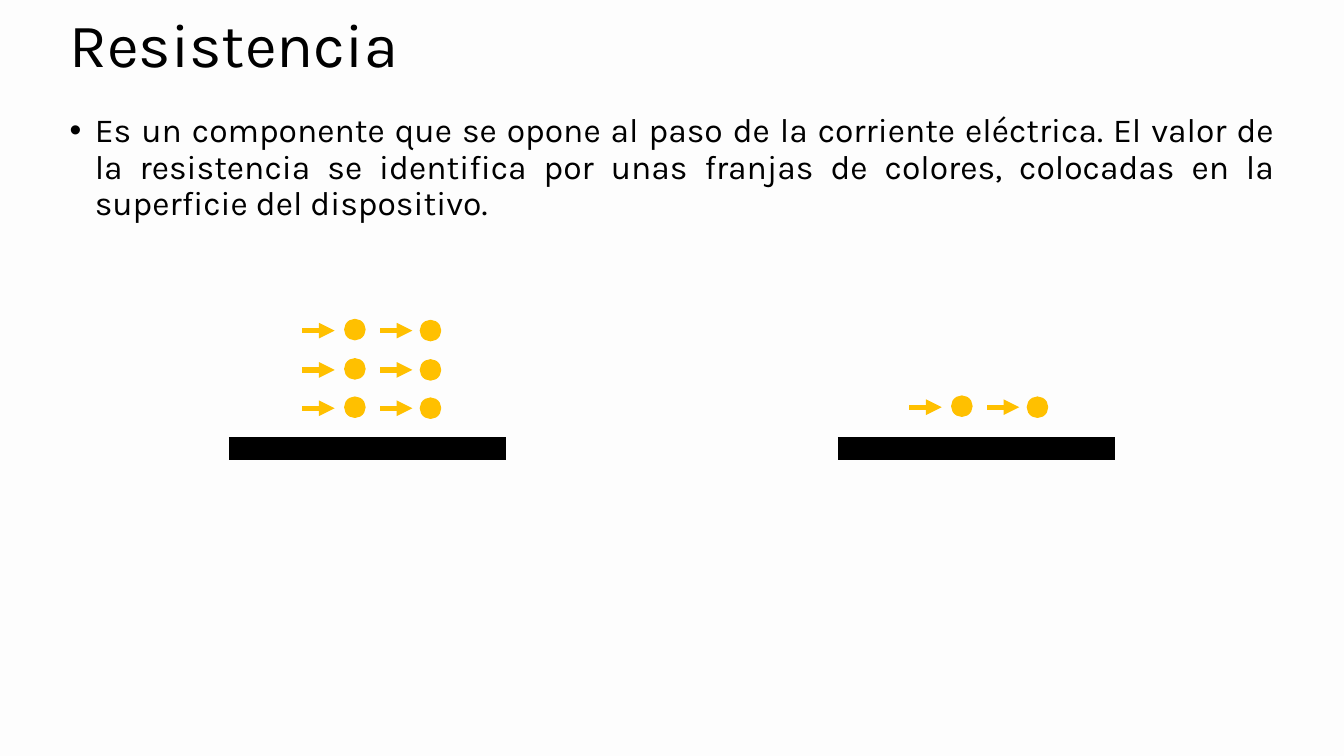
from lxml import etree
from pptx import Presentation
from pptx.dml.color import RGBColor
from pptx.enum.shapes import MSO_CONNECTOR, MSO_SHAPE
from pptx.enum.text import MSO_ANCHOR, MSO_AUTO_SIZE, PP_ALIGN
from pptx.oxml.ns import qn
from pptx.util import Inches, Pt

PAPER = RGBColor(0xFD, 0xFD, 0xFD)
BLACK = RGBColor(0, 0, 0)
AMBER = RGBColor(0xFF, 0xC0, 0)
LINE = MSO_CONNECTOR.STRAIGHT
OVAL = MSO_SHAPE.OVAL
TOP, MIDDLE = MSO_ANCHOR.TOP, MSO_ANCHOR.MIDDLE
LEFT, JUSTIFY = PP_ALIGN.LEFT, PP_ALIGN.JUSTIFY
FIXED = MSO_AUTO_SIZE.NONE

TITLE = "Resistencia"
BODY = ("Es un componente que se opone al paso de la corriente eléctrica. "
        "El valor de la resistencia se identifica por unas franjas de colores, "
        "colocadas en la superficie del dispositivo.")


class Board:
    font = "Karla"
    dot = 0.2

    def __init__(self, slide):
        self.slide = slide
        fill = slide.background.fill
        fill.solid()
        fill.fore_color.rgb = PAPER

    def text(self, holder, text, box, size, align=LEFT, anchor=TOP, bullet=False):
        holder.left, holder.top, holder.width, holder.height = map(Inches, box)
        frame = holder.text_frame
        frame.word_wrap = True
        frame.auto_size = FIXED
        frame.vertical_anchor = anchor
        para = frame.paragraphs[0]
        para.alignment = align
        para.line_spacing = 0.9
        para.space_before = Pt(0)
        if bullet:
            props = para._p.get_or_add_pPr()
            props.set("marL", str(Inches(0.25)))
            props.set("indent", str(Inches(-0.25)))
            etree.SubElement(props, qn("a:buFont")).set("typeface", "Arial")
            etree.SubElement(props, qn("a:buChar")).set("char", "•")
        run = para.add_run()
        run.text = text
        run.font.name = self.font
        run.font.size = Pt(size)
        run.font.color.rgb = BLACK

    def line(self, x, y, length, color, width, arrow=False):
        """Draw a level line to the right, with an optional arrowhead."""
        line = self.slide.shapes.add_connector(
            LINE, Inches(x), Inches(y), Inches(x + length), Inches(y))
        line.line.color.rgb = color
        line.line.width = Pt(width)
        if arrow:
            head = etree.SubElement(line.line._get_or_add_ln(), qn("a:tailEnd"))
            head.set("type", "triangle")
        etree.SubElement(line._element.spPr, qn("a:effectLst"))

    def charge(self, x, y):
        """Draw an electron as a dot."""
        dot = self.slide.shapes.add_shape(
            OVAL, Inches(x), Inches(y), Inches(self.dot), Inches(self.dot))
        dot.shadow.inherit = False
        dot.fill.solid()
        dot.fill.fore_color.rgb = AMBER
        dot.line.color.rgb = AMBER
        dot.line.width = Pt(1)

    def flow(self, x, y):
        """Draw two arrows, each pushing an electron."""
        for col in range(2):
            self.line(x + 0.77 * col, y, 0.32, AMBER, 3.75, arrow=True)
            self.charge(x + 0.42 + 0.75 * col, y - 0.11 + 0.01 * col)

    def wire(self, x):
        self.line(x, 4.45, 2.75, BLACK, 16)


def main():
    deck = Presentation()
    deck.slide_width, deck.slide_height = Inches(13.33), Inches(7.5)
    slide = deck.slides.add_slide(deck.slide_layouts[1])
    board = Board(slide)
    title, body = slide.placeholders
    board.text(title, TITLE, (0.59, 0.05, 12.15, 0.84), 44, anchor=MIDDLE)
    board.text(body, BODY, (0.59, 1.08, 12.15, 5.83), 24, align=JUSTIFY, bullet=True)

    board.wire(2.27)
    for y in (3.28, 3.67, 4.05):
        board.flow(3, y)
    board.wire(8.31)
    board.flow(9.02, 4.04)
    deck.save("out.pptx")


if __name__ == "__main__":
    main()
